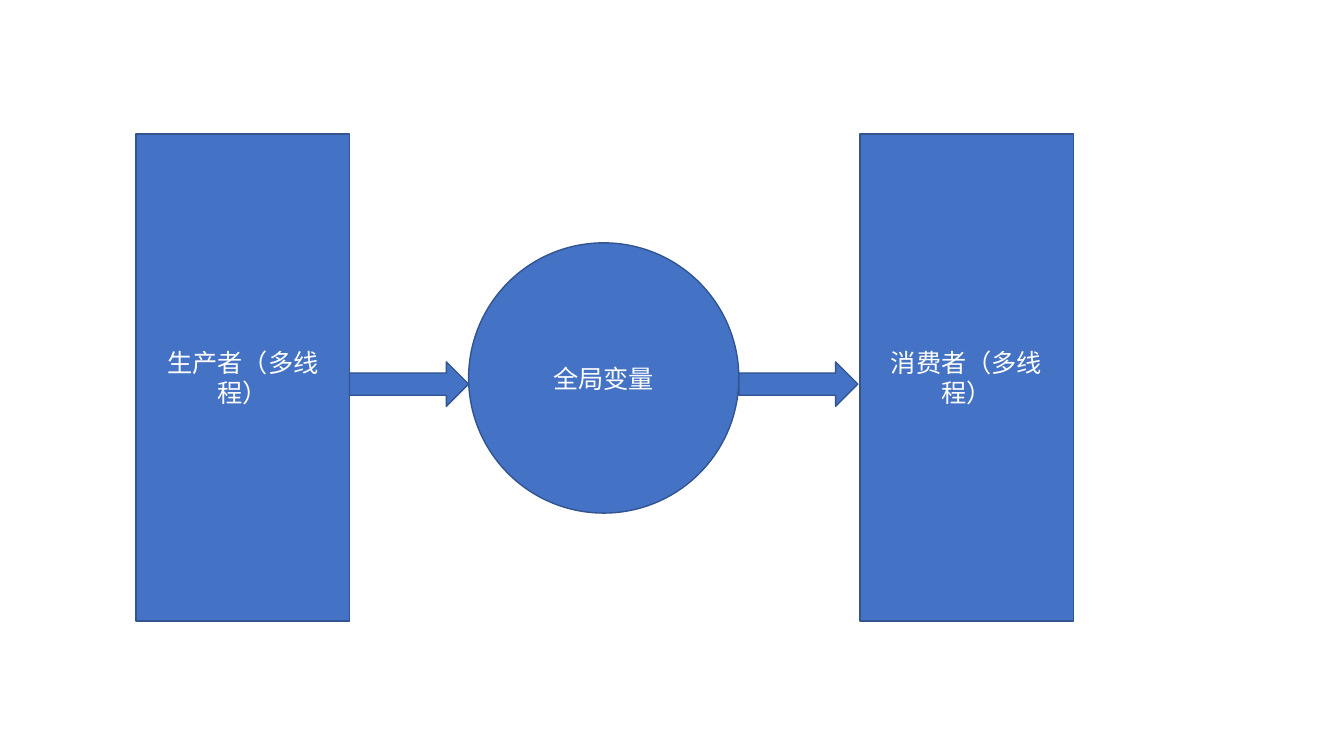
"""Build a slide showing producers passing a global variable to consumers."""
import pptx
import pptx.dml.color
import pptx.enum.shapes
import pptx.enum.text
import pptx.oxml.ns
import pptx.util
import lxml.etree

Cm = pptx.util.Cm
Shape = pptx.enum.shapes.MSO_SHAPE
BLUE = pptx.dml.color.RGBColor(0x44, 0x72, 0xC4)
DARK_BLUE = pptx.dml.color.RGBColor(0x32, 0x54, 0x91)
WHITE = pptx.dml.color.RGBColor(0xFF, 0xFF, 0xFF)
FONT = "Noto Sans CJK SC"

deck = pptx.Presentation()
deck.slide_width = Cm(33.87)
deck.slide_height = Cm(19.05)
page = deck.slides.add_slide(deck.slide_layouts[6])


def add_block(kind, left, top, width, height):
    block = page.shapes.add_shape(kind, Cm(left), Cm(top), Cm(width), Cm(height))
    block.shadow.inherit = False
    block.fill.solid()
    block.fill.fore_color.rgb = BLUE
    block.line.color.rgb = DARK_BLUE
    block.line.width = pptx.util.Pt(1)
    return block


stages = [
    ("生产者（多线程）", Shape.RECTANGLE, 3.43, 3.38, 5.38, 12.27),
    ("全局变量", Shape.OVAL, 11.81, 6.12, 6.81, 6.81),
    ("消费者（多线程）", Shape.RECTANGLE, 21.67, 3.38, 5.38, 12.27),
]
for label, kind, left, top, width, height in stages:
    box = add_block(kind, left, top, width, height)
    box.text_frame.word_wrap = True
    box.text_frame.vertical_anchor = pptx.enum.text.MSO_ANCHOR.MIDDLE
    para = box.text_frame.paragraphs[0]
    para.alignment = pptx.enum.text.PP_ALIGN.CENTER
    span = para.add_run()
    span.text = label
    span.font.size = pptx.util.Pt(18)
    span.font.color.rgb = WHITE
    span.font.name = FONT
    east_asian = lxml.etree.SubElement(span._r.get_or_add_rPr(), pptx.oxml.ns.qn("a:ea"))
    east_asian.set("typeface", FONT)

for label, kind, left, top, width, height in stages[:-1]:
    add_block(Shape.RIGHT_ARROW, left + width, 9.12, 3, 1.12)

deck.save("out.pptx")
